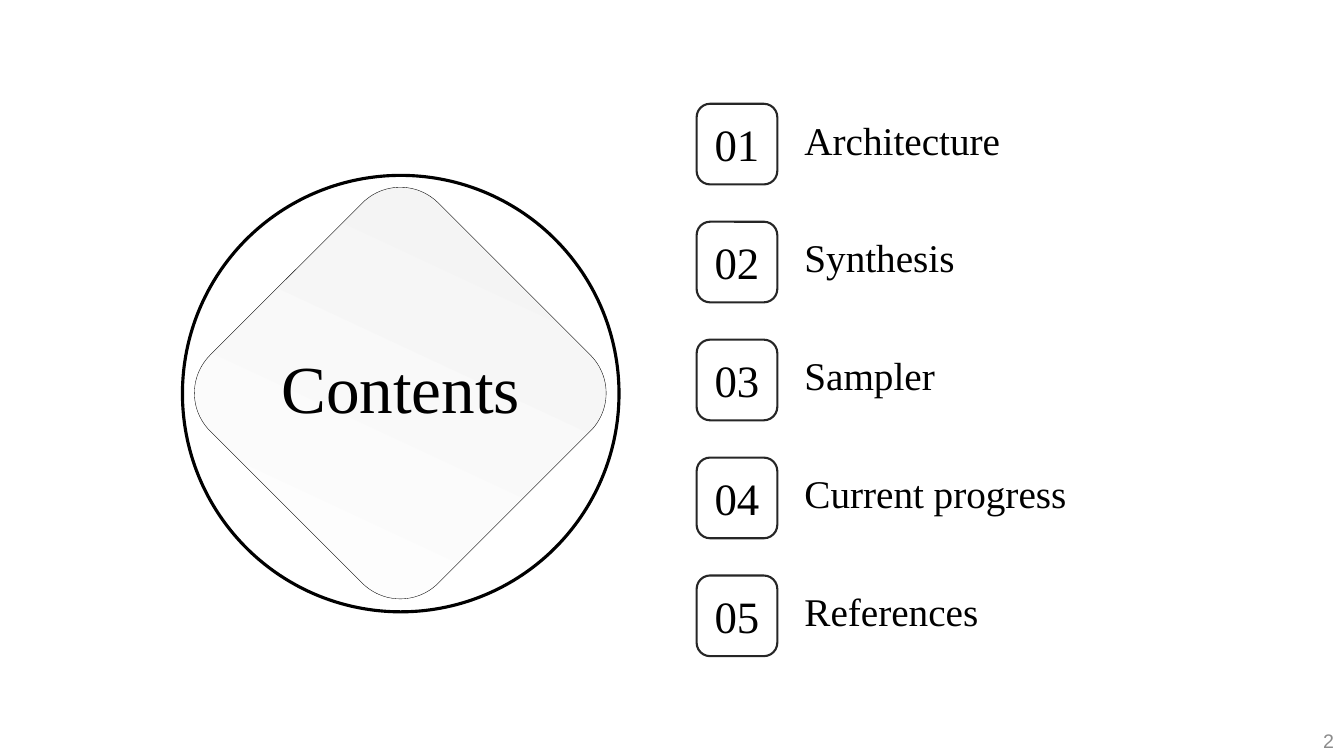
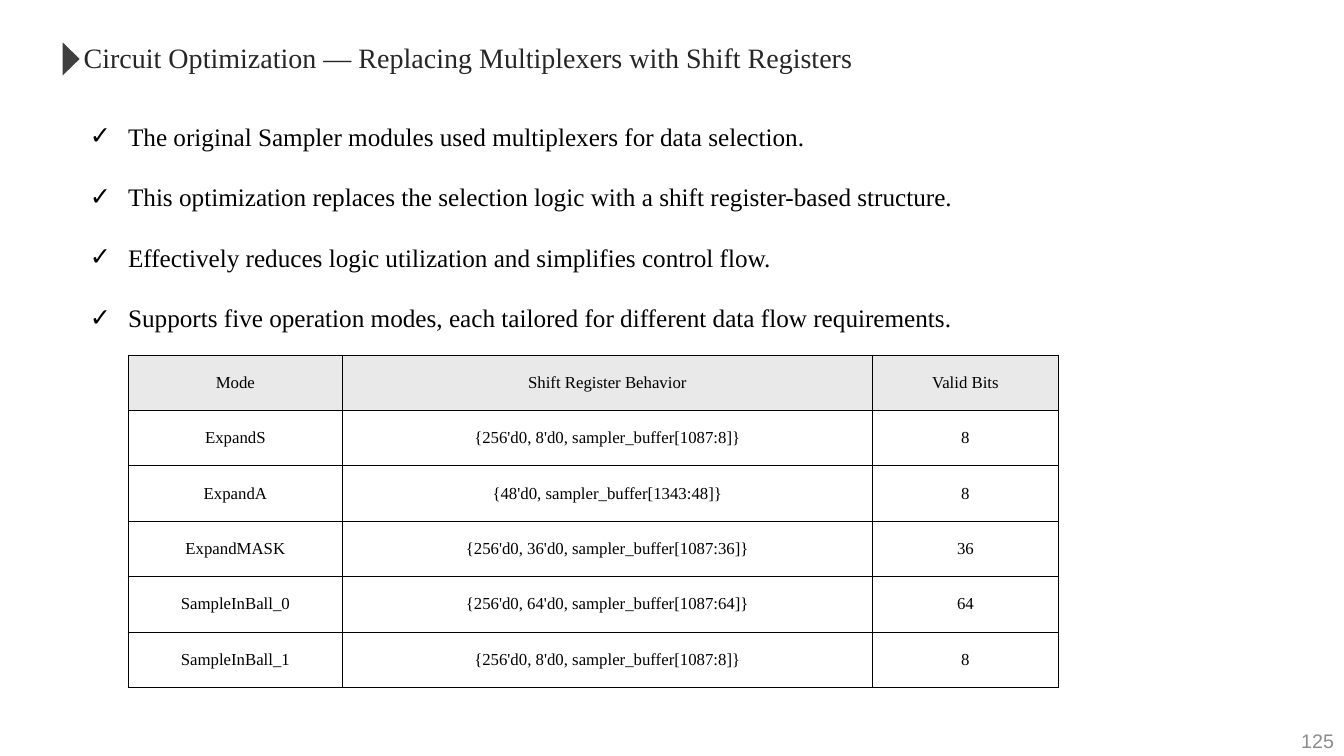
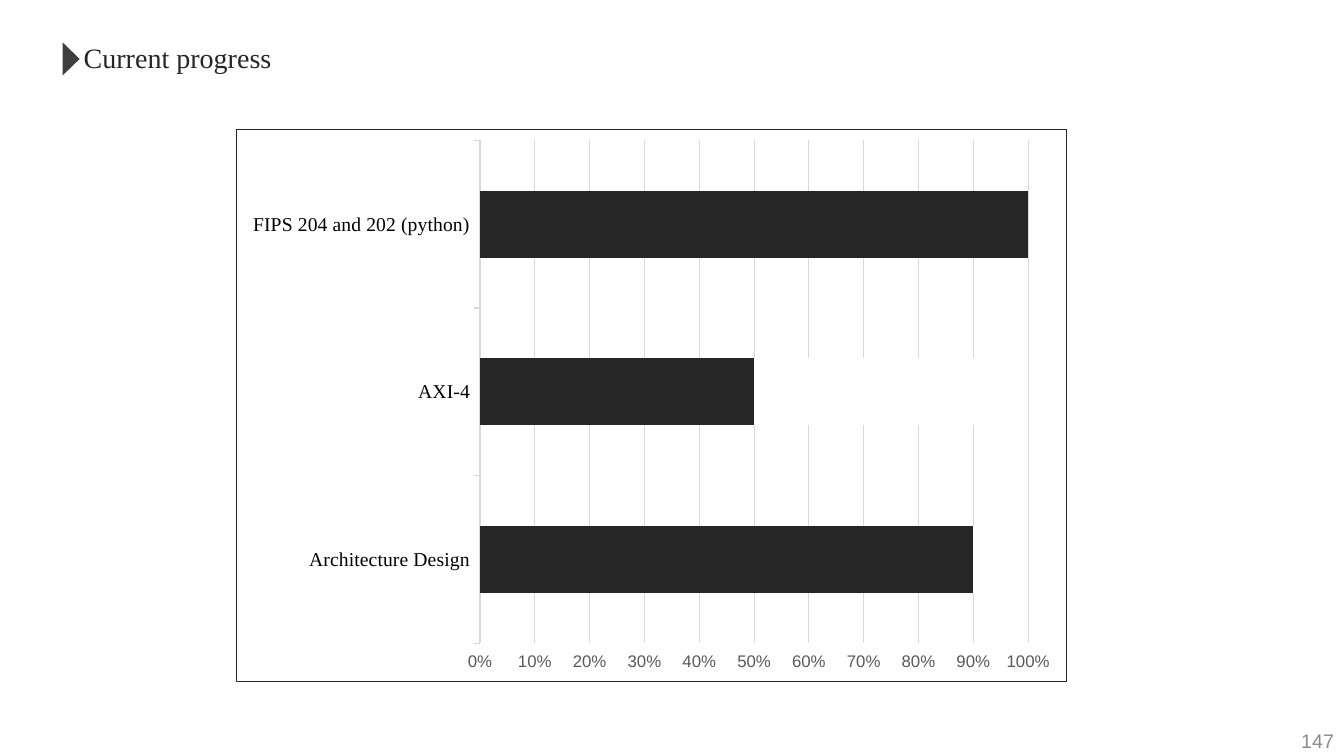
from lxml import etree
from pptx import Presentation
from pptx.chart.data import CategoryChartData
from pptx.dml.color import RGBColor
from pptx.enum.chart import XL_CHART_TYPE, XL_TICK_MARK
from pptx.enum.shapes import MSO_SHAPE
from pptx.enum.text import MSO_ANCHOR, MSO_AUTO_SIZE, PP_ALIGN
from pptx.oxml import parse_xml
from pptx.oxml.ns import nsdecls, qn
from pptx.util import Pt

# Shared style
PX = 9144  # 100 px to the inch
SERIF, SANS = "Times New Roman", "Arial"
C = {"black": "000000", "ink": "262626", "marker": "3F3F3F", "white": "FFFFFF",
     "shade": "F2F2F2", "header": "E9E9E9", "grid": "D9D9D9",
     "axis": "595959", "page": "8C8C8C"}
LEFT, CENTER, RIGHT = PP_ALIGN.LEFT, PP_ALIGN.CENTER, PP_ALIGN.RIGHT
TOP, MIDDLE = MSO_ANCHOR.TOP, MSO_ANCHOR.MIDDLE
BODY_LAYOUT, TITLE_LAYOUT = 1, 5

TOPICS = ["Architecture", "Synthesis", "Sampler", "Current progress", "References"]
POINTS = [
    "The original Sampler modules used multiplexers for data selection.",
    "This optimization replaces the selection logic with a shift register-based structure.",
    "Effectively reduces logic utilization and simplifies control flow.",
    "Supports five operation modes, each tailored for different data flow requirements.",
]
MODES = [
    ("Mode", "Shift Register Behavior", "Valid Bits"),
    ("ExpandS", "{256'd0, 8'd0, sampler_buffer[1087:8]}", "8"),
    ("ExpandA", "{48'd0, sampler_buffer[1343:48]}", "8"),
    ("ExpandMASK", "{256'd0, 36'd0, sampler_buffer[1087:36]}", "36"),
    ("SampleInBall_0", "{256'd0, 64'd0, sampler_buffer[1087:64]}", "64"),
    ("SampleInBall_1", "{256'd0, 8'd0, sampler_buffer[1087:8]}", "8"),
]
TASKS = ["Architecture Design", "AXI-4", "FIPS 204 and 202 (python)"]
PROGRESS = [("Series 1", (90, 50, 100), "ink"),
            ("Series 2", (10, 50, 0), "white"),
            ("Series 3", (None, None, None), "ink")]


def px(*lengths):
    return [n * PX for n in lengths]


def rgb(name):
    return RGBColor.from_string(C[name])


def set_font(font, size, color, name=SERIF):
    font.size, font.name, font.bold = Pt(size), name, False
    font.color.rgb = rgb(color)


def set_line(line, color, width):
    line.color.rgb = rgb(color)
    line.width = Pt(width)


# Text
def add_bullet(p, char, indent):
    pPr = p._p.get_or_add_pPr()
    pPr.set("marL", str(indent * PX))
    pPr.set("indent", str(-indent * PX))
    etree.SubElement(pPr, qn("a:buChar")).set("char", char)


def put_text(tf, *lines, size=18, color="black", name=SERIF, align=LEFT,
             anchor=TOP, wrap=True, spacing=None, bullet=None):
    tf.auto_size = MSO_AUTO_SIZE.NONE
    tf.word_wrap, tf.vertical_anchor = wrap, anchor
    for i, line in enumerate(lines):
        p = tf.paragraphs[0] if i == 0 else tf.add_paragraph()
        p.alignment, p.space_before = align, Pt(0)
        if spacing:
            p.line_spacing = spacing
        if bullet:
            add_bullet(p, bullet, 38)
        r = p.add_run()
        r.text = line
        set_font(r.font, size, color, name)


def add_text(slide, box, *lines, **fmt):
    put_text(slide.shapes.add_textbox(*px(*box)).text_frame, *lines, **fmt)


def fill_placeholder(sp, box, *lines, **fmt):
    sp.left, sp.top, sp.width, sp.height = px(*box)
    put_text(sp.text_frame, *lines, **fmt)


# Shapes
def add_shape(slide, kind, box, fill=None, line=None, width=1.5):
    sp = slide.shapes.add_shape(kind, *px(*box))
    sp.shadow.inherit = False
    if fill:
        sp.fill.solid()
        sp.fill.fore_color.rgb = rgb(fill)
    else:
        sp.fill.background()
    if line:
        set_line(sp.line, line, width)
    else:
        sp.line.fill.background()
    return sp


def add_page_number(slide, number):
    add_text(slide, (1033, 715, 300, 40), str(number), size=14, color="page",
             name=SANS, align=RIGHT, anchor=MIDDLE)


def add_section(prs, layout, title, page):
    slide = prs.slides.add_slide(prs.slide_layouts[layout])
    fill_placeholder(slide.shapes.title, (73, 35, 787, 44), title,
                     size=20, color="ink", wrap=False)
    marker = add_shape(slide, MSO_SHAPE.ISOSCELES_TRIANGLE, (54, 50, 33, 17), "marker")
    marker.rotation = 90
    add_page_number(slide, page)
    return slide


# Table and chart
def set_borders(cell, color, width):
    tcPr = cell._tc.get_or_add_tcPr()
    for side in "LRTB":
        tcPr.append(parse_xml(
            f'<a:ln{side} {nsdecls("a")} w="{Pt(width)}"><a:solidFill>'
            f'<a:srgbClr val="{C[color]}"/></a:solidFill></a:ln{side}>'))


def add_grid(slide, left, top, widths, row_height, rows):
    table = slide.shapes.add_table(
        len(rows), len(widths),
        *px(left, top, sum(widths), row_height * len(rows))).table
    table.first_row = table.horz_banding = False
    for col, width in zip(table.columns, px(*widths)):
        col.width = width
    for i, row in enumerate(rows):
        for j, text in enumerate(row):
            cell = table.cell(i, j)
            set_borders(cell, "black", 0.5)
            if i == 0:
                cell.fill.solid()
                cell.fill.fore_color.rgb = rgb("header")
            else:
                cell.fill.background()
            cell.vertical_anchor = MIDDLE
            p = cell.text_frame.paragraphs[0]
            p.alignment = CENTER
            r = p.add_run()
            r.text = text
            set_font(r.font, 12, "black")


def add_progress_chart(slide, box, cats, series):
    data = CategoryChartData()
    data.categories = cats
    for name, values, _ in series:
        data.add_series(name, values)
    chart = slide.shapes.add_chart(
        XL_CHART_TYPE.BAR_STACKED_100, *px(*box), data).chart
    chart.has_legend = chart.has_title = False
    set_font(chart.font, 10, "black", SANS)
    plot = chart.plots[0]
    plot.gap_width, plot.overlap, plot.vary_by_categories = 150, 100, False
    for ser, (_, _, color) in zip(plot.series, series):
        ser.format.fill.solid()
        ser.format.fill.fore_color.rgb = rgb(color)

    cat, val = chart.category_axis, chart.value_axis
    cat.major_tick_mark = val.major_tick_mark = XL_TICK_MARK.OUTSIDE
    set_font(cat.tick_labels.font, 14, "black")
    set_font(val.tick_labels.font, 12, "axis", SANS)
    val.tick_labels.number_format = "0%"
    val.tick_labels.number_format_is_linked = False
    val.format.line.fill.background()
    set_line(cat.format.line, "grid", 0.75)
    set_line(val.major_gridlines.format.line, "grid", 0.75)

    # Frame around the chart
    chart._chartSpace.find(qn("c:chart")).addnext(parse_xml(
        f'<c:spPr {nsdecls("c", "a")}><a:noFill/><a:ln w="{Pt(0.75)}"><a:solidFill>'
        f'<a:srgbClr val="{C["ink"]}"/></a:solidFill></a:ln></c:spPr>'))


# Slides
def contents_slide(prs):
    slide = prs.slides.add_slide(prs.slide_layouts[TITLE_LAYOUT])
    diamond = add_shape(slide, MSO_SHAPE.ROUNDED_RECTANGLE, (237, 230, 320, 320),
                        line="black", width=0.25)
    diamond.rotation = 45
    diamond.fill.gradient()
    diamond.fill.gradient_angle = 110
    for stop, color in zip(diamond.fill.gradient_stops, ("white", "shade")):
        stop.color.rgb = rgb(color)
    add_shape(slide, MSO_SHAPE.OVAL, (181, 174, 433, 433), line="black", width=2.25)

    title = slide.shapes.title
    fill_placeholder(title, (268, 339, 259, 91), "Contents",
                     size=48, align=CENTER, wrap=False)
    title.element.getparent().append(title.element)  # above the diamond

    for i, topic in enumerate(TOPICS):
        top = 103 + 117 * i
        badge = add_shape(slide, MSO_SHAPE.ROUNDED_RECTANGLE, (691, top, 80, 80), line="ink")
        put_text(badge.text_frame, f"{i + 1:02}", size=32, align=CENTER,
                 anchor=MIDDLE, wrap=False)
        add_text(slide, (788, top + 7, 429, 57), topic, size=28)
    add_page_number(slide, 2)


def optimization_slide(prs):
    slide = add_section(
        prs, BODY_LAYOUT,
        "Circuit Optimization — Replacing Multiplexers with Shift Registers", 125)
    fill_placeholder(slide.placeholders[1], (79, 85, 908, 243), *POINTS,
                     spacing=2.0, bullet="✓")
    add_grid(slide, 127, 352, (213, 525, 185), 55, MODES)


def progress_slide(prs):
    slide = add_section(prs, TITLE_LAYOUT, "Current progress", 147)
    add_progress_chart(slide, (234, 128, 824, 549), TASKS, PROGRESS)


def main():
    prs = Presentation()
    prs.slide_width, prs.slide_height = px(1333, 750)
    contents_slide(prs)
    optimization_slide(prs)
    progress_slide(prs)
    prs.save("out.pptx")


if __name__ == "__main__":
    main()
